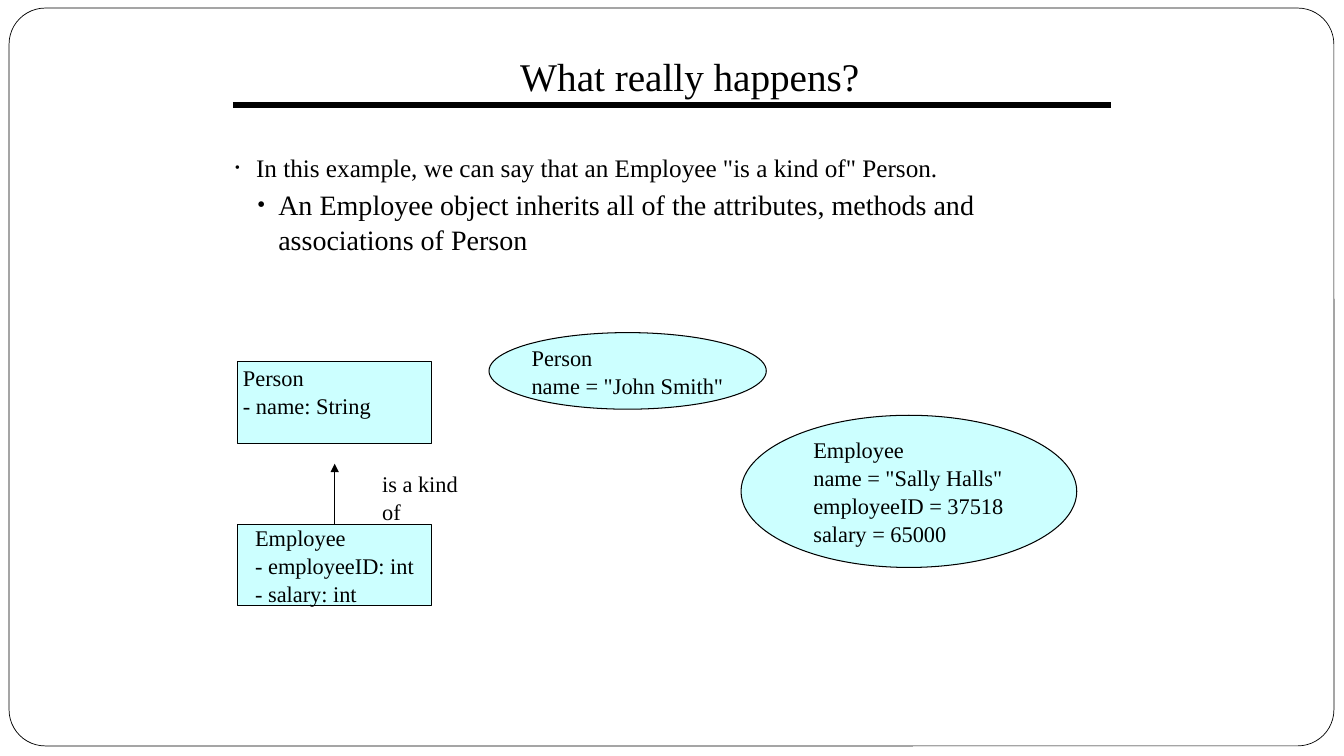
from lxml import etree
from pptx import Presentation
from pptx import util as u
from pptx.dml.color import RGBColor
from pptx.enum import shapes, text
from pptx.oxml import ns


def color(value):
    return RGBColor.from_string(value)


def write(shape, content, size, left=0, top=0, anchor=text.MSO_ANCHOR.TOP):
    frame = shape.text_frame
    frame.text = content
    frame.word_wrap = True
    frame.auto_size = text.MSO_AUTO_SIZE.NONE
    frame.vertical_anchor = anchor
    frame.margin_left, frame.margin_top = u.Inches(left), u.Inches(top)
    frame.margin_right = frame.margin_bottom = 0
    for paragraph in frame.paragraphs:
        paragraph.alignment = text.PP_ALIGN.LEFT
        paragraph.line_spacing = 1.04
        for run in paragraph.runs:
            run.font.name = "Times New Roman"
            run.font.size = u.Pt(size)
            run.font.color.rgb = color("000000")


presentation = Presentation()
presentation.slide_width = u.Inches(13.33)
presentation.slide_height = u.Inches(7.5)
slide = presentation.slides.add_slide(presentation.slide_layouts[1])

title = slide.shapes.title
title.left, title.top, title.width, title.height = map(u.Inches, (5.16, 0.5, 3.65, 0.47))
write(title, "What really happens?", 28)

body = slide.placeholders[1]
body.left, body.top, body.width, body.height = map(u.Inches, (2.33, 1.5, 8.5, 1.05))
write(body, 'In this example, we can say that an Employee "is a kind of" Person.\n'
      "An Employee object inherits all of the attributes, methods and associations of Person", 18)
bullet_sizes = ["59000", "85000"]
for level, paragraph in enumerate(body.text_frame.paragraphs):
    paragraph.level = level
    paragraph.space_before = u.Pt(2.5)
    paragraph.runs[0].font.size = u.Pt(18 + 2 * level)
    properties = paragraph._p.get_or_add_pPr()
    properties.set("marL", str(u.Inches(0.21 + 0.22 * level)))
    properties.set("indent", str(u.Inches(-0.21)))
    etree.SubElement(properties, ns.qn("a:buSzPct")).set("val", bullet_sizes[level])
    etree.SubElement(properties, ns.qn("a:buFont")).set("typeface", "Times New Roman")
    etree.SubElement(properties, ns.qn("a:buChar")).set("char", "•")

border = slide.shapes.add_shape(
    shapes.MSO_SHAPE.ROUNDED_RECTANGLE, *map(u.Inches, (0.09, 0.08, 13.14, 7.32)))
border.adjustments[0] = 0.049
border.shadow.inherit = False
border.fill.background()
border.line.color.rgb = color("000000")
border.line.width = u.Pt(0.5)

lines = [
    ((2.31, 1.04, 11.02, 1.04), 4.31, False),
    ((3.32, 5.41, 3.32, 4.6), 0.75, True),
]
for ends, width, has_arrow in lines:
    connector = slide.shapes.add_connector(
        shapes.MSO_CONNECTOR.STRAIGHT, *map(u.Inches, ends))
    connector.line.color.rgb = color("000000")
    connector.line.width = u.Pt(width)
    if has_arrow:
        etree.SubElement(connector.line._get_or_add_ln(), ns.qn("a:tailEnd")).set("type", "triangle")
    etree.SubElement(connector._element.spPr, ns.qn("a:effectLst"))

rectangle, oval = shapes.MSO_SHAPE.RECTANGLE, shapes.MSO_SHAPE.OVAL
top, middle = text.MSO_ANCHOR.TOP, text.MSO_ANCHOR.MIDDLE
nodes = [
    (rectangle, (2.36, 3.59, 1.92, 0.81), "Person\n- name: String", 0.05, 0.01, top),
    (rectangle, (2.36, 5.2, 1.92, 0.81),
     "Employee\n- employeeID: int\n- salary: int", 0.17, 0, middle),
    (oval, (4.85, 3.3, 2.75, 0.76), 'Person\nname = "John Smith"', 0.02, 0, middle),
    (oval, (7.35, 4.12, 3.33, 1.51),
     'Employee\nname = "Sally Halls"\nemployeeID = 37518\nsalary = 65000', 0.23, 0, middle),
]
for kind, bounds, content, inset_left, inset_top, anchor in nodes:
    node = slide.shapes.add_shape(kind, *map(u.Inches, bounds))
    node.shadow.inherit = False
    node.fill.solid()
    node.fill.fore_color.rgb = color("CCFFFF")
    node.line.color.rgb = color("000000")
    node.line.width = u.Pt(0.75)
    write(node, content, 16, inset_left, inset_top, anchor)

relation = slide.shapes.add_textbox(*map(u.Inches, (3.79, 4.65, 0.87, 0.54)))
write(relation, "is a kind of", 16)

presentation.save("out.pptx")
